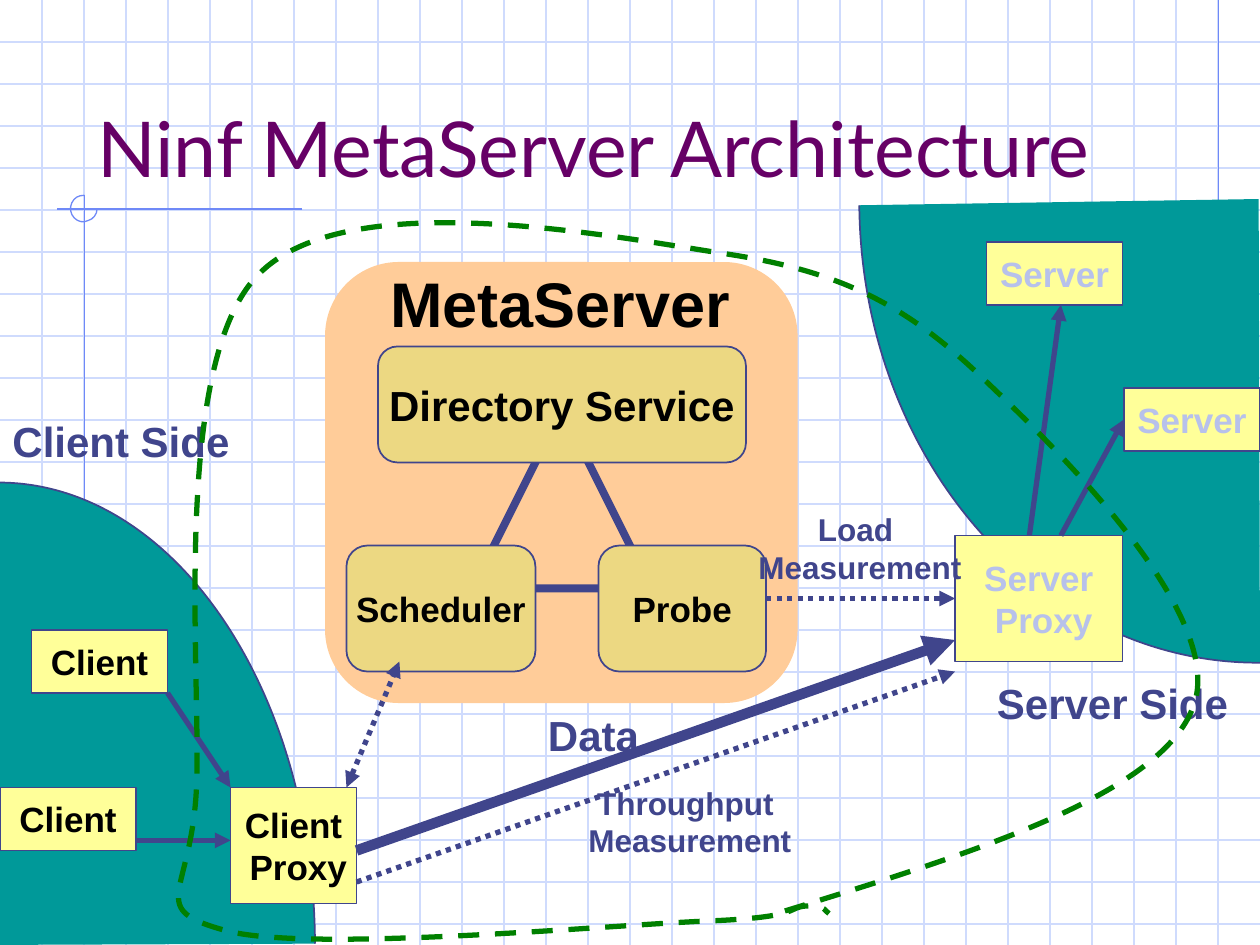
"""Build the Ninf MetaServer architecture slide."""
import copy
from dataclasses import dataclass

import lxml.etree
import pptx
import pptx.dml.color
import pptx.enum.dml
import pptx.enum.shapes
import pptx.enum.text
import pptx.oxml.ns
import pptx.util

Inches = pptx.util.Inches
Pt = pptx.util.Pt
qn = pptx.oxml.ns.qn
SHAPE = pptx.enum.shapes.MSO_SHAPE
DASH = pptx.enum.dml.MSO_LINE.DASH
DOT = pptx.enum.dml.MSO_LINE.ROUND_DOT
ANCHOR = pptx.enum.text.MSO_ANCHOR
AUTO_SIZE = pptx.enum.text.MSO_AUTO_SIZE
ALIGN = pptx.enum.text.PP_ALIGN

GRID, ACCENT, INK = "CFDBFD", "6F89F7", "40458C"
TEAL, YELLOW, GOLD, PEACH = "009999", "FFFF99", "ECD882", "FFCC99"
BLACK, PALE, GREEN, PURPLE = "000000", "B7C1EB", "008000", "660066"

Point = tuple[float, float]


@dataclass
class Box:
    kind: SHAPE
    left: float
    top: float
    width: float
    height: float
    fill: str | None
    text: str = ""
    size: float = 20
    color: str = BLACK
    line_width: float = 1


@dataclass
class Label:
    left: float
    top: float
    width: float
    height: float
    text: str
    size: float
    color: str = INK


@dataclass
class Line:
    start: Point
    end: Point
    width: float = 3
    color: str = INK
    dash: DASH = None
    ends: tuple[str, ...] = ("tailEnd",)


@dataclass
class Region:
    arc: list[Point]
    corner: Point
    frame: tuple[float, float, float, float]


REGIONS = [
    Region([(0, 3.83), (1.38, 3.84), (2.49, 5.47), (2.5, 7.49)], (0, 7.5),
           (-2.5, 3.83, 5, 7.33)),
    Region([(10, 5.26), (8.26, 5.27), (6.84, 3.65), (6.82, 1.63)], (9.99, 1.58),
           (6.82, -2.1, 6.33, 7.36)),
]

BOXES = [
    Box(SHAPE.RECTANGLE, 0.25, 5, 1.08, 0.5, YELLOW, "Client"),
    Box(SHAPE.RECTANGLE, 0, 6.25, 1.08, 0.5, YELLOW, "Client"),
    Box(SHAPE.RECTANGLE, 7.83, 1.92, 1.08, 0.5, YELLOW, "Server", color=PALE),
    Box(SHAPE.RECTANGLE, 8.92, 3.08, 1.08, 0.5, YELLOW, "Server", color=PALE),
    Box(SHAPE.RECTANGLE, 1.83, 6.25, 1, 0.92, YELLOW, "Client\n Proxy"),
    Box(SHAPE.RECTANGLE, 7.58, 4.25, 1.33, 1, YELLOW, "Server\n Proxy", color=PALE),
    Box(SHAPE.ROUNDED_RECTANGLE, 2.58, 2.08, 3.75, 3.5, PEACH, line_width=0),
    Box(SHAPE.ISOSCELES_TRIANGLE, 3.75, 3.25, 1.42, 1.42, None, line_width=4.5),
    Box(SHAPE.ROUNDED_RECTANGLE, 3, 2.75, 2.92, 0.92, GOLD, "Directory Service", 24),
    Box(SHAPE.ROUNDED_RECTANGLE, 2.75, 4.33, 1.5, 1, GOLD, "Scheduler"),
    Box(SHAPE.ROUNDED_RECTANGLE, 4.75, 4.33, 1.33, 1, GOLD, "Probe"),
]

LABELS = [
    Label(0, 3.25, 1.92, 0.5, "Client Side", 24),
    Label(7.66, 5.33, 2.34, 0.5, "Server Side", 24),
    Label(2.97, 2.05, 2.95, 0.7, "MetaServer", 36, BLACK),
    Label(4.25, 5.58, 0.92, 0.5, "Data", 24),
    Label(4.5, 6.17, 1.88, 0.7, "Throughput\n Measurement", 18),
    Label(5.92, 4, 1.81, 0.7, "Load \nMeasurement", 18),
]

ARROWS = [
    Line((2.83, 6.75), (7.58, 5.08), 6),
    Line((2.75, 6.25), (3.17, 5.25), dash=DOT, ends=("headEnd", "tailEnd")),
    Line((1.33, 5.5), (1.83, 6.25)),
    Line((1.08, 6.67), (1.83, 6.67)),
    Line((8.17, 4.25), (8.42, 2.42)),
    Line((8.42, 4.25), (8.92, 3.33)),
    Line((6.08, 4.75), (7.58, 4.75), dash=DOT),
    Line((2.83, 7), (7.58, 5.33), dash=DOT),
]

GUIDES = [
    Line((9.67, 0), (9.67, 2.58), 0.75, ACCENT, ends=()),
    Line((2.4, 1.66), (0.45, 1.66), 0.75, ACCENT, ends=()),
    Line((0.67, 1.55), (0.67, 4.09), 0.75, ACCENT, ends=()),
]

GUIDE_RING = [
    (0.67, 1.55), (0.62, 1.55), (0.59, 1.57), (0.57, 1.61), (0.55, 1.65),
    (0.56, 1.7), (0.59, 1.73), (0.62, 1.76), (0.66, 1.77), (0.7, 1.75),
    (0.74, 1.74), (0.77, 1.7), (0.77, 1.66),
]

BOUNDARY = [
    (6.23, 7.23), (7.72, 6.77), (9.21, 6.31), (9.47, 5.61), (9.74, 4.91),
    (8.46, 3.63), (7.83, 3.03), (7.21, 2.43), (6.69, 2.15), (5.73, 2.01),
    (4.76, 1.86), (2.74, 1.47), (2.05, 2.18), (1.35, 2.89), (1.6, 5.38),
    (1.56, 6.25), (1.52, 7.12), (1.14, 7.21), (1.81, 7.39), (2.49, 7.56),
    (4.85, 7.34), (5.61, 7.31), (6.38, 7.28), (6.24, 7.2), (6.4, 7.19),
    (6.56, 7.18), (6.55, 7.24), (6.58, 7.25),
]


def paint(color_format, color: str) -> None:
    color_format.rgb = pptx.dml.color.RGBColor.from_string(color)


def style_shape(shape, fill: str | None, line: str | None, width: float = 1) -> None:
    shape.shadow.inherit = False
    if fill:
        shape.fill.solid()
        paint(shape.fill.fore_color, fill)
    else:
        shape.fill.background()
    if line:
        paint(shape.line.color, line)
        shape.line.width = Pt(width)
    else:
        shape.line.fill.background()


def write_text(frame, text: str, size: float, color: str, font: str = "Arial",
               bold: bool = True, align: ALIGN = ALIGN.CENTER) -> None:
    frame.text = text
    for paragraph in frame.paragraphs:
        paragraph.alignment = align
        paragraph.font.name = font
        paragraph.font.size = Pt(size)
        paragraph.font.bold = bold
        paint(paragraph.font.color, color)


def add_box(shapes, box: Box) -> None:
    shape = shapes.add_shape(
        box.kind, *map(Inches, (box.left, box.top, box.width, box.height)))
    style_shape(shape, box.fill, INK if box.line_width else None, box.line_width)
    if box.text:
        shape.text_frame.word_wrap = False
        shape.text_frame.vertical_anchor = ANCHOR.MIDDLE
        write_text(shape.text_frame, box.text, box.size, box.color)


def add_label(shapes, label: Label) -> None:
    shape = shapes.add_textbox(
        *map(Inches, (label.left, label.top, label.width, label.height)))
    shape.text_frame.word_wrap = False
    shape.text_frame.auto_size = AUTO_SIZE.SHAPE_TO_FIT_TEXT
    write_text(shape.text_frame, label.text, label.size, label.color)


def add_line(shapes, line: Line) -> None:
    connector = shapes.add_connector(
        pptx.enum.shapes.MSO_CONNECTOR.STRAIGHT, *map(Inches, line.start + line.end))
    paint(connector.line.color, line.color)
    connector.line.width = Pt(line.width)
    if line.dash:
        connector.line.dash_style = line.dash
    properties = connector._element.spPr
    for end in line.ends:
        lxml.etree.SubElement(properties.get_or_add_ln(), qn(f"a:{end}"), type="triangle")
    lxml.etree.SubElement(properties, qn("a:effectLst"))


def add_curve(shapes, controls: list[Point], line: str, width: float,
              fill: str | None = None, corner: Point | None = None):
    """Draw cubic segments through the controls, closed at an optional corner."""
    points = [(Inches(x), Inches(y)) for x, y in controls + ([corner] if corner else [])]
    builder = shapes.build_freeform(*points[0])
    builder.add_line_segments(points[1:], close=corner is not None)
    shape = builder.convert_to_shape()
    style_shape(shape, fill, line, width)
    segments = list(shape._element.iter(qn("a:lnTo")))[:len(controls) - 1]
    for first in range(0, len(segments), 3):
        curve = lxml.etree.Element(qn("a:cubicBezTo"))
        segments[first].addprevious(curve)
        for segment in segments[first:first + 3]:
            curve.append(segment[0])
            segment.getparent().remove(segment)
    return shape


def add_region(shapes, region: Region) -> None:
    """Draw a filled sector whose outline runs along its arc only."""
    shape = add_curve(shapes, region.arc, INK, 1, TEAL, region.corner)
    left, top, width, height = map(Inches, region.frame)
    sector = next(shape._element.iter(qn("a:path")))
    for point in sector.iter(qn("a:pt")):
        point.set("x", str(int(point.get("x")) + shape.left - left))
        point.set("y", str(int(point.get("y")) + shape.top - top))
    shape.left, shape.top, shape.width, shape.height = left, top, width, height
    sector.set("w", str(width))
    sector.set("h", str(height))
    arc = copy.deepcopy(sector)
    for part in arc[2:]:
        arc.remove(part)
    sector.set("stroke", "0")
    arc.set("fill", "none")
    sector.addnext(arc)


def add_background(slide) -> None:
    """Draw the grid and guides as one group on the slide master."""
    group = slide.shapes.add_group_shape()
    rows = [Line((0, i / 3), (10, i / 3), 0.75, GRID, ends=()) for i in range(1, 23)]
    columns = [Line((i / 3, 0), (i / 3, 7.5), 0.75, GRID, ends=()) for i in range(1, 30)]
    for line in rows + columns + GUIDES:
        add_line(group.shapes, line)
    add_curve(group.shapes, GUIDE_RING, ACCENT, 0.75)
    slide.slide_layout.slide_master.shapes._spTree.insert(2, group._element)


def add_title(slide) -> None:
    title = slide.shapes.title
    title.left, title.top, title.width, title.height = map(Inches, (0.67, 0.33, 8.5, 1.25))
    title.text_frame.auto_size = AUTO_SIZE.NONE
    title.text_frame.vertical_anchor = ANCHOR.BOTTOM
    write_text(title.text_frame, "Ninf MetaServer Architecture", 44, PURPLE,
               "Lato", False, ALIGN.LEFT)


def main() -> None:
    presentation = pptx.Presentation()
    presentation.slide_width, presentation.slide_height = Inches(10), Inches(7.5)
    slide = presentation.slides.add_slide(presentation.slide_layouts[5])
    add_background(slide)
    add_title(slide)
    for items, draw in ((REGIONS, add_region), (BOXES, add_box),
                        (ARROWS, add_line), (LABELS, add_label)):
        for item in items:
            draw(slide.shapes, item)
    boundary = add_curve(slide.shapes, BOUNDARY, GREEN, 3)
    boundary.line.dash_style = DASH
    presentation.save("out.pptx")


if __name__ == "__main__":
    main()
